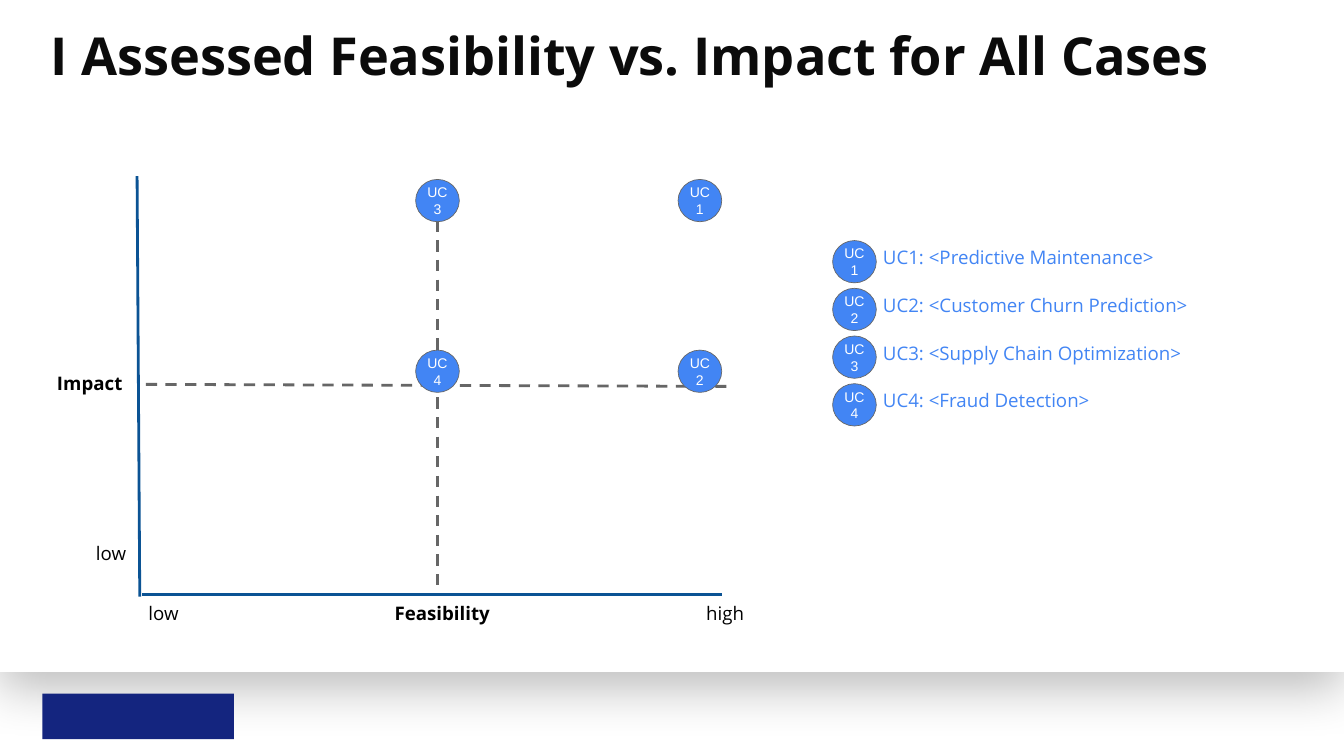
import dataclasses

import lxml.etree
import pptx
import pptx.dml.color
import pptx.enum.dml
import pptx.enum.shapes
import pptx.enum.text
import pptx.oxml
import pptx.oxml.ns
import pptx.util

Inches = pptx.util.Inches
Pt = pptx.util.Pt
RGB = pptx.dml.color.RGBColor.from_string
Shape = pptx.enum.shapes.MSO_SHAPE
Align = pptx.enum.text.PP_ALIGN
qn = pptx.oxml.ns.qn


@dataclasses.dataclass(frozen=True)
class Theme:
    paper: str = "FFFFFF"
    title: str = "0B0B0B"
    ink: str = "000000"
    marker: str = "4285F4"
    guide: str = "666666"
    axis: str = "0B5394"
    brand: str = "14257F"
    font: str = "Open Sans"
    marker_font: str = "Arial"
    title_size: int = 56
    body_size: int = 20
    marker_size: int = 15


THEME = Theme()
MARKER_WIDTH, MARKER_HEIGHT = 0.65, 0.63
USE_CASES = [
    "Predictive Maintenance",
    "Customer Churn Prediction",
    "Supply Chain Optimization",
    "Fraud Detection",
]


def write(frame, text, size, color, font=THEME.font, bold=False, align=Align.LEFT, inset=0.1):
    frame.word_wrap = True
    frame.margin_left = frame.margin_right = Inches(inset)
    frame.margin_top = frame.margin_bottom = Inches(inset)
    paragraph = frame.paragraphs[0]
    paragraph.text = text
    paragraph.alignment = align
    for run in paragraph.runs:
        run.font.size = Pt(size)
        run.font.name = font
        run.font.bold = bold
        run.font.color.rgb = RGB(color)


def add_label(slide, box, text, size=THEME.body_size, color=THEME.ink, **style):
    label = slide.shapes.add_textbox(*map(Inches, box))
    write(label.text_frame, text, size, color, **style)


def add_block(slide, kind, box, fill):
    block = slide.shapes.add_shape(kind, *map(Inches, box))
    block.shadow.inherit = False
    block.fill.solid()
    block.fill.fore_color.rgb = RGB(fill)
    block.line.fill.background()
    return block


def add_marker(slide, left, top, number):
    box = (left, top, MARKER_WIDTH, MARKER_HEIGHT)
    marker = add_block(slide, Shape.OVAL, box, THEME.marker)
    marker.line.color.rgb = RGB(THEME.guide)
    marker.line.width = Pt(0.75)
    marker.text_frame.vertical_anchor = pptx.enum.text.MSO_ANCHOR.MIDDLE
    write(marker.text_frame, f"UC\n{number}", THEME.marker_size, THEME.paper,
          font=THEME.marker_font, align=Align.CENTER, inset=0)


def add_line(slide, start, end, color, dashed=False):
    line = slide.shapes.add_connector(
        pptx.enum.shapes.MSO_CONNECTOR.STRAIGHT, *map(Inches, start + end))
    line.line.color.rgb = RGB(color)
    line.line.width = Pt(3)
    if dashed:
        line.line.dash_style = pptx.enum.dml.MSO_LINE.DASH
    lxml.etree.SubElement(line._element.spPr, qn("a:effectLst"))


def cast_shadow(block):
    effects = block._element.spPr.find(qn("a:effectLst"))
    shadow = lxml.etree.SubElement(
        effects, qn("a:outerShdw"), blurRad=str(Pt(56.2)), dist=str(Pt(18.8)),
        dir="5400000", algn="t", rotWithShape="0")
    color = lxml.etree.SubElement(shadow, qn("a:srgbClr"), val=THEME.ink)
    lxml.etree.SubElement(color, qn("a:alpha"), val="25000")


def build_backdrop(slide, width, height):
    page = add_block(slide, Shape.RECTANGLE, (0, 0, width, height - 1.25), THEME.paper)
    cast_shadow(page)
    add_block(slide, Shape.RECTANGLE, (0.63, height - 0.93, 2.85, 0.68), THEME.brand)


def build_title(slide, box):
    add_label(slide, box, "I Assessed Feasibility vs. Impact for All Cases",
              THEME.title_size, THEME.title, bold=True, inset=0)


def build_legend(slide, left, top, row_height):
    for index, name in enumerate(USE_CASES):
        row_top = top + index * row_height
        add_marker(slide, left, row_top + 0.02, index + 1)
        add_label(slide, (left + MARKER_WIDTH, row_top, 5.49, 0.78),
                  f"UC{index + 1}: <{name}>", color=THEME.marker)


def build_matrix(slide, left, top, width, height):
    right, bottom = left + width, top + height
    middle_x, middle_y = left + 4.44, top + 3.12

    add_line(slide, (middle_x, top + 0.08), (middle_x, bottom - 0.14), THEME.guide, dashed=True)
    add_line(slide, (left + 0.1, middle_y - 0.02), (right + 0.14, middle_y + 0.01),
             THEME.guide, dashed=True)
    add_line(slide, (left - 0.03, top), (left + 0.01, bottom + 0.03), THEME.axis)
    add_line(slide, (right, bottom), (left + 0.04, bottom), THEME.axis)

    add_label(slide, (left - 1.32, middle_y - 0.31, 1.43, 0.78), "Impact", bold=True)
    add_label(slide, (left + 1.55, bottom, 5.92, 0.78), "Feasibility",
              bold=True, align=Align.CENTER)
    add_label(slide, (left + 0.04, bottom, 1.14, 0.4), "low")
    add_label(slide, (left - 0.74, bottom - 0.89, 1.14, 0.4), "low")
    add_label(slide, (right - 0.33, bottom, 1.39, 0.4), "high")

    high_x, medium_x = right - MARKER_WIDTH, middle_x - MARKER_WIDTH / 2
    high_y, medium_y = top + 0.05, top + 2.59
    positions = [(high_x, high_y), (high_x, medium_y), (medium_x, high_y), (medium_x, medium_y)]
    for number, (x, y) in enumerate(positions, 1):
        add_marker(slide, x, y, number)


def main():
    width, height = 20, 11.25
    deck = pptx.Presentation()
    deck.slide_width, deck.slide_height = Inches(width), Inches(height)
    slide = deck.slides.add_slide(deck.slide_layouts[6])
    build_backdrop(slide, width, height)
    build_title(slide, (0.75, 0.34, 18.5, 1.65))
    build_legend(slide, 12.39, 3.56, 0.71)
    build_matrix(slide, 2.07, 2.62, 8.67, 6.23)
    deck.save("out.pptx")


if __name__ == "__main__":
    main()
